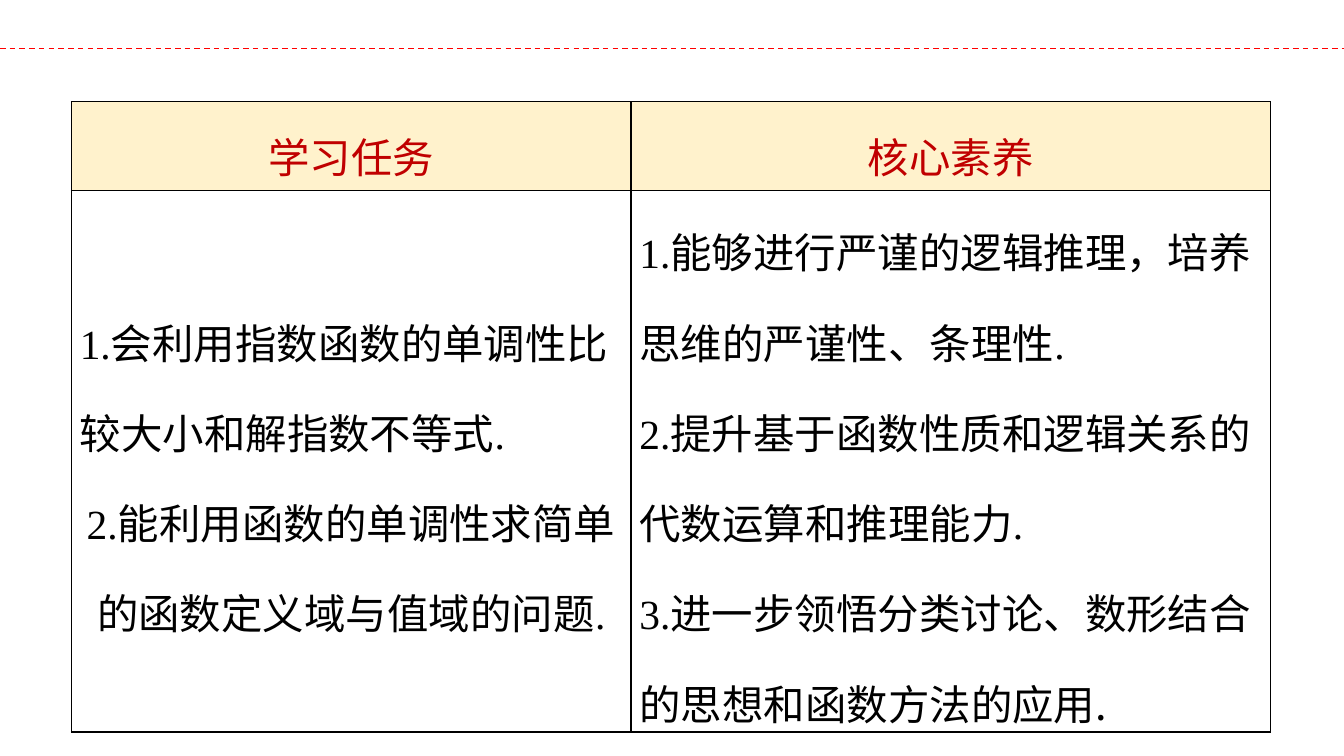
from dataclasses import dataclass

from lxml import etree
from pptx import Presentation
from pptx import util as u
from pptx.dml.color import RGBColor
from pptx.enum import dml, shapes, text
from pptx.oxml import ns

PX = 9525  # EMU in one px


@dataclass(frozen=True)
class Theme:
    rule: str = "FF0000"
    border: str = "000000"
    heading: str = "C00000"
    body: str = "000000"
    header_fill: str = "FFF2CC"
    latin: str = "Times New Roman"
    asian: str = "Noto Sans CJK SC"
    size: float = 29.6
    line_width: int = 1


THEME = Theme()
LEFT, CENTER = text.PP_ALIGN.LEFT, text.PP_ALIGN.CENTER

HEADINGS = ["学习任务", "核心素养"]
# Each paragraph is its alignment, its number and its wording.
TASKS = [
    (LEFT, "1.", "会利用指数函数的单调性比较大小和解指数不等式."),
    (CENTER, "2.", "能利用函数的单调性求简单的函数定义域与值域的问题."),
]
SKILLS = [
    (LEFT, "1.", "能够进行严谨的逻辑推理，培养思维的严谨性、条理性."),
    (LEFT, "2.", "提升基于函数性质和逻辑关系的代数运算和推理能力."),
    (LEFT, "3.", "进一步领悟分类讨论、数形结合的思想和函数方法的应用."),
]


def px(length):
    return u.Emu(length * PX)


def style_paragraph(para, align, spacing, color):
    para.alignment = align
    para.line_spacing = spacing
    font = para.font
    font.size = u.Pt(THEME.size)
    font.color.rgb = RGBColor.from_string(color)
    font.name = THEME.latin
    latin = para._p.pPr.find(ns.qn("a:defRPr")).find(ns.qn("a:latin"))
    asian = etree.Element(ns.qn("a:ea"), typeface=THEME.asian)
    latin.addnext(asian)


def border_cell(cell):
    properties = cell._tc.get_or_add_tcPr()
    for side in ("lnL", "lnR", "lnT", "lnB"):
        line = etree.SubElement(properties, ns.qn("a:" + side),
                                w=str(u.Pt(THEME.line_width)))
        fill = etree.SubElement(line, ns.qn("a:solidFill"))
        etree.SubElement(fill, ns.qn("a:srgbClr"), val=THEME.border)


def format_cell(cell, inset_x, inset_y):
    cell.vertical_anchor = text.MSO_ANCHOR.MIDDLE
    cell.margin_left = cell.margin_right = px(inset_x)
    cell.margin_top = cell.margin_bottom = px(inset_y)
    border_cell(cell)


def fill_heading(cell, heading):
    format_cell(cell, 11, 5)
    cell.fill.solid()
    cell.fill.fore_color.rgb = RGBColor.from_string(THEME.header_fill)
    para = cell.text_frame.paragraphs[0]
    para.add_run().text = heading
    style_paragraph(para, CENTER, 1.3, THEME.heading)


def fill_points(cell, points):
    format_cell(cell, 8, 0)
    cell.fill.background()
    frame = cell.text_frame
    for index, (align, number, wording) in enumerate(points):
        para = frame.add_paragraph() if index else frame.paragraphs[0]
        style_paragraph(para, align, 1.5, THEME.body)
        if number == "3.":
            para.add_run().text = number
            span = para.add_run()
            span.text = wording
            span.font.name = THEME.asian
        else:
            para.add_run().text = number + wording


def add_top_rule(page, left, top, width):
    rule = page.shapes.add_connector(shapes.MSO_CONNECTOR.STRAIGHT,
                                     px(left), px(top), px(left + width), px(top))
    rule.line.color.rgb = RGBColor.from_string(THEME.rule)
    rule.line.width = u.Pt(THEME.line_width)
    rule.line.dash_style = dml.MSO_LINE.DASH
    etree.SubElement(rule._element.spPr, ns.qn("a:effectLst"))


def add_goals_table(page, left, top, widths, heights):
    table = page.shapes.add_table(len(heights), len(widths), px(left), px(top),
                                  px(sum(widths)), px(sum(heights))).table
    table.first_row = table.horz_banding = False
    for column, width in zip(table.columns, widths):
        column.width = px(width)
    for row, height in zip(table.rows, heights):
        row.height = px(height)
    for index, (heading, points) in enumerate(zip(HEADINGS, (TASKS, SKILLS))):
        fill_heading(table.cell(0, index), heading)
        fill_points(table.cell(1, index), points)


def main():
    deck = Presentation()
    deck.slide_width, deck.slide_height = px(1280), px(720)
    page = deck.slides.add_slide(deck.slide_layouts[6])
    add_top_rule(page, 0, 46, 1280)
    add_goals_table(page, 68, 97, widths=(533, 609), heights=(83, 408))
    deck.save("out.pptx")


if __name__ == "__main__":
    main()
